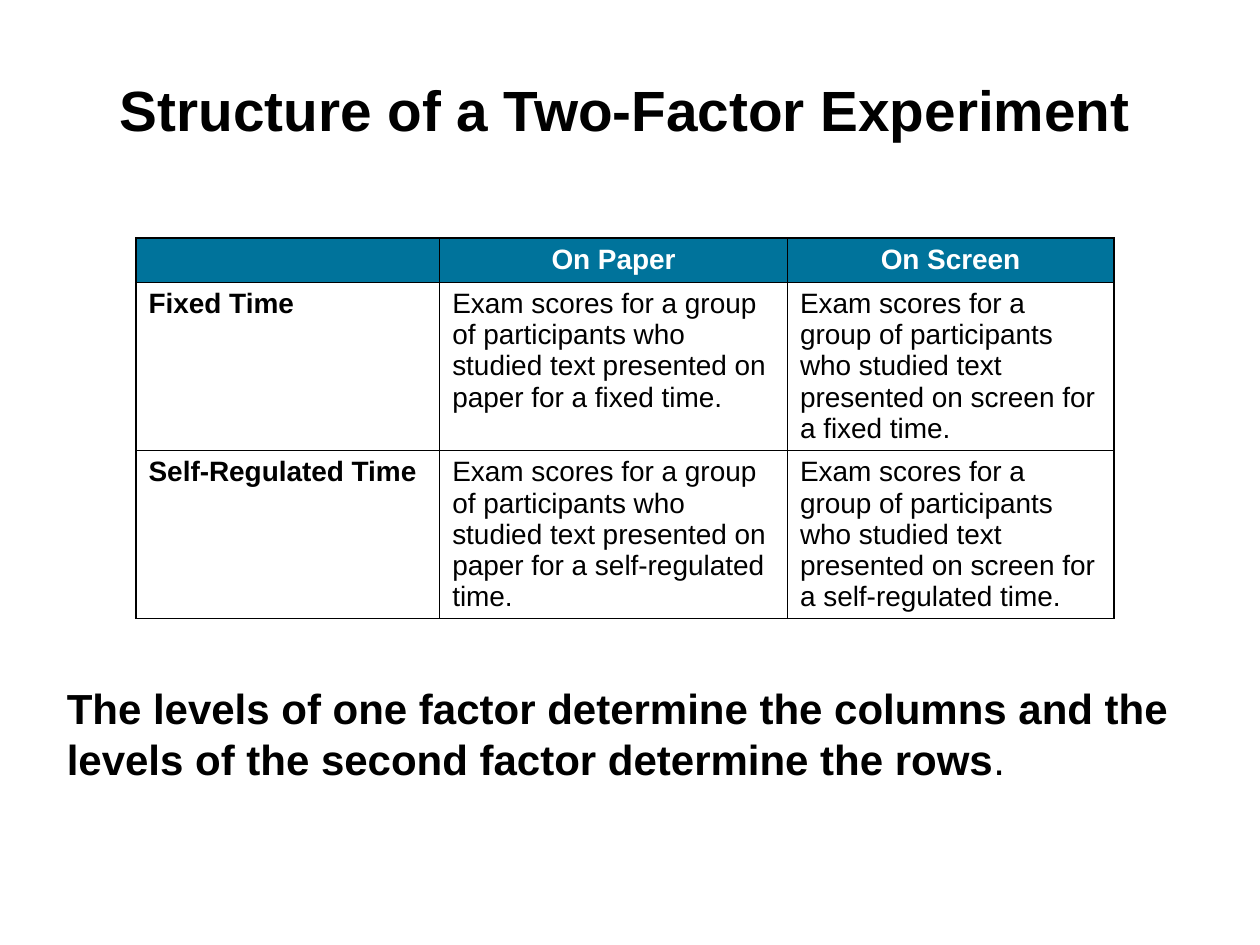
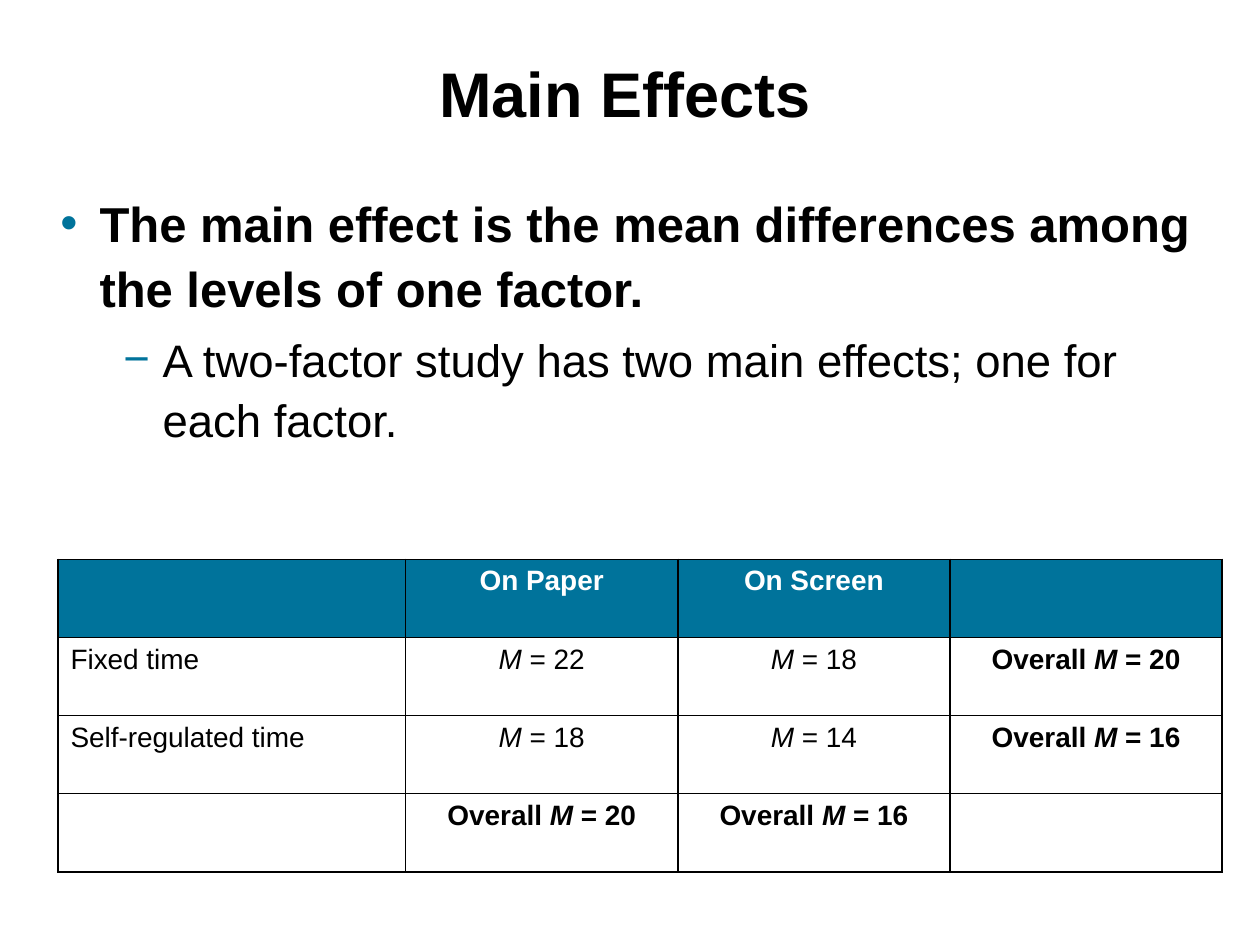
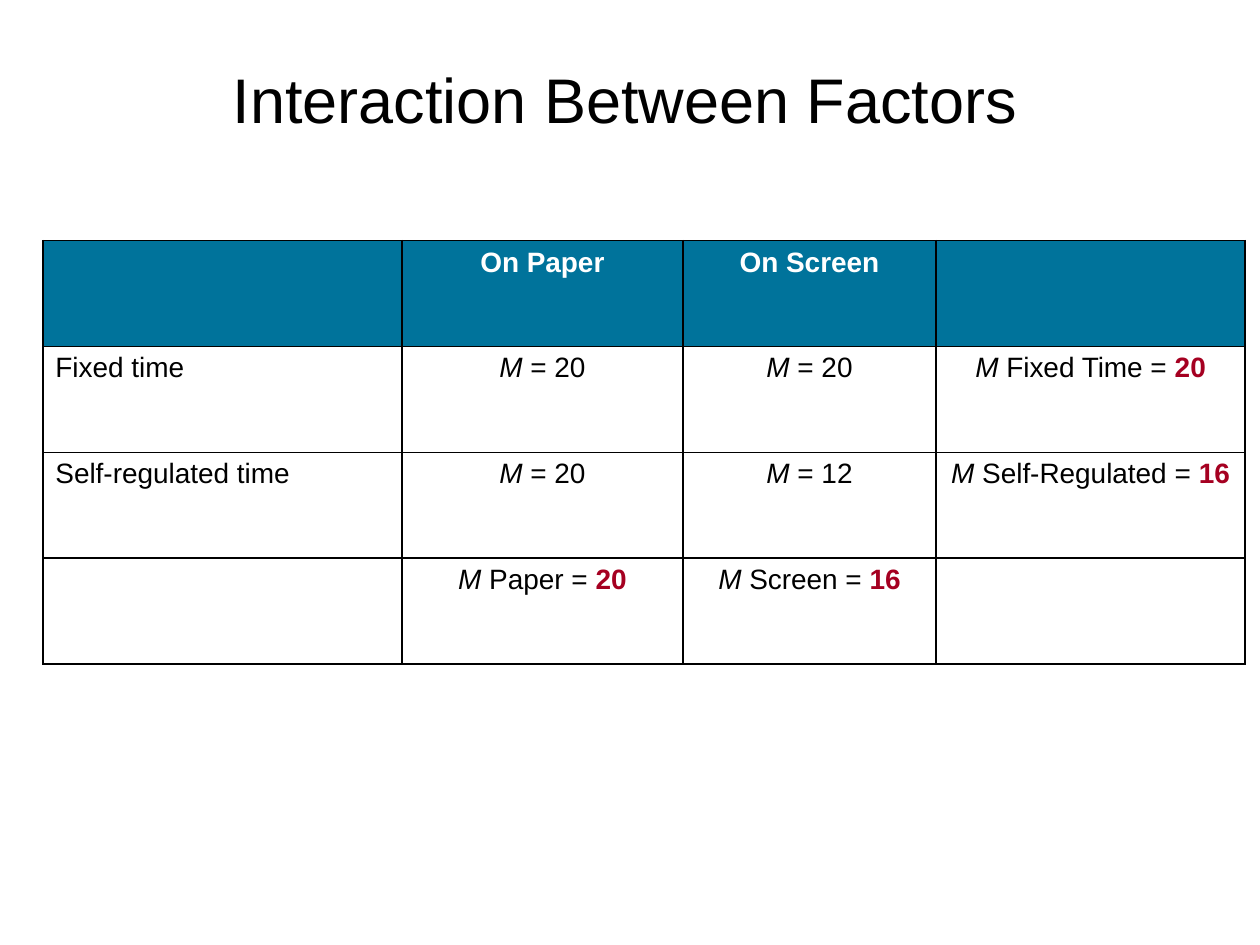
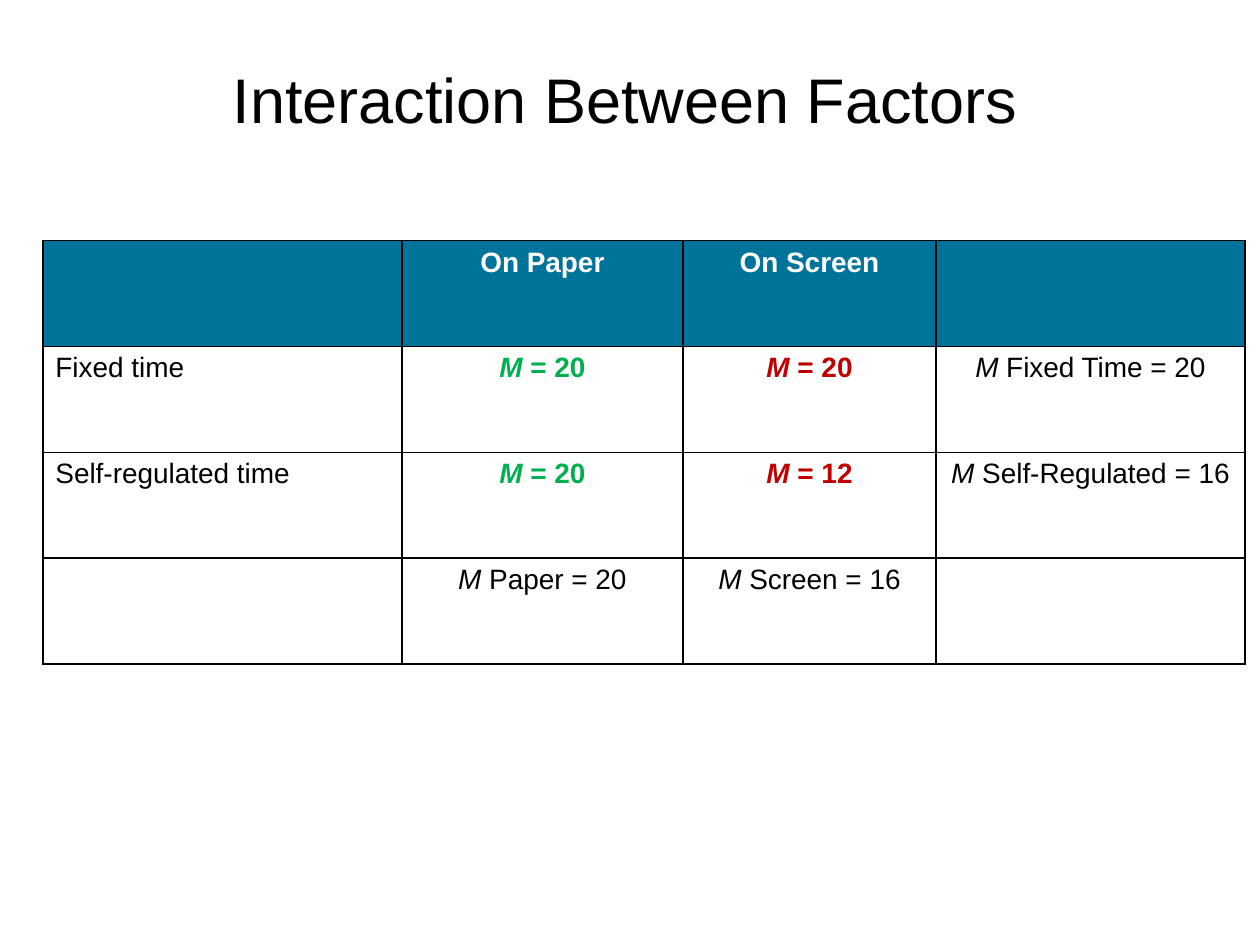
from dataclasses import dataclass
from typing import Optional

from lxml.etree import SubElement
from pptx import Presentation
from pptx.dml.color import RGBColor
from pptx.enum.text import MSO_ANCHOR, MSO_AUTO_SIZE, PP_ALIGN
from pptx.oxml.ns import qn
from pptx.util import Inches, Pt


@dataclass(frozen=True)
class Theme:
    font: str = "Arial"
    ink: str = "000000"
    header_ink: str = "FFFFFF"
    teal: str = "00739B"
    overall_red: str = "A50021"
    paper_green: str = "00B050"
    screen_red: str = "C00000"
    title_size: float = 36
    long_title_size: float = 32.4
    note_size: float = 24
    list_sizes: tuple = (28, 26)
    table_size: float = 16
    border_width: float = 1


THEME = Theme()
TITLE_AND_BODY, TITLE_ONLY = 1, 5
HEADER = ["", "On Paper", "On Screen"]


@dataclass
class Span:
    text: str
    bold: bool = False
    italic: bool = False
    color: Optional[str] = None


def mean(value, label="", before="", bold=False, color=None, value_color=None):
    """Spans reading "[before] M [label] = value", with M in italics."""
    spans = [Span(before, bold)] if before else []
    spans.append(Span("M", bold, True, color))
    equals = f" {label} = " if label else " = "
    if value_color:
        return spans + [Span(equals, bold), Span(str(value), True, color=value_color)]
    return spans + [Span(f"{equals}{value}", bold, color=color)]


def overall(value):
    return mean(value, before="Overall ", bold=True)


class Deck:
    def __init__(self, theme):
        self.theme = theme
        self.prs = Presentation()
        self.prs.slide_width, self.prs.slide_height = Inches(10), Inches(7.5)
        self.slide = None

    def add_slide(self, layout):
        self.slide = self.prs.slides.add_slide(self.prs.slide_layouts[layout])

    def place(self, holder, left, top, width, height):
        holder.left, holder.top = Inches(left), Inches(top)
        holder.width, holder.height = Inches(width), Inches(height)
        frame = holder.text_frame
        frame.word_wrap = True
        frame.auto_size = MSO_AUTO_SIZE.NONE
        return frame

    def set_text(self, paragraph, content, size, color=None, bold=False):
        """Fill a paragraph with a string or a list of spans."""
        spans = [Span(content, bold)] if isinstance(content, str) else content
        font = paragraph.font
        font.name, font.size = self.theme.font, Pt(size)
        font.color.rgb = RGBColor.from_string(color or self.theme.ink)
        same_weight = len({span.bold for span in spans}) == 1
        if same_weight:
            font.bold = spans[0].bold
        for span in spans:
            if not span.text:
                continue
            run = paragraph.add_run()
            run.text = span.text
            if not same_weight:
                run.font.bold = span.bold
            if span.italic:
                run.font.italic = True
            if span.color:
                run.font.color.rgb = RGBColor.from_string(span.color)

    def title(self, text, top, size=None, bold=False):
        frame = self.place(self.slide.shapes.title, 0.57, top, 8.78, 1.1)
        frame.vertical_anchor = MSO_ANCHOR.MIDDLE
        heading = frame.paragraphs[0]
        heading.alignment = PP_ALIGN.CENTER
        self.set_text(heading, text, size or self.theme.title_size, bold=bold)

    def note(self, spans, box):
        statement = self.place(self.slide.placeholders[1], *box).paragraphs[0]
        props = statement._p.get_or_add_pPr()
        props.set("marL", "0")
        props.set("indent", "0")
        SubElement(props, qn("a:buNone"))
        statement.space_before = Pt(0)
        self.set_text(statement, spans, self.theme.note_size)

    def bullets(self, items, box):
        """items: (level, text) pairs; the top level is bold."""
        frame = self.place(self.slide.placeholders[1], *box)
        for index, (level, text) in enumerate(items):
            point = frame.add_paragraph() if index else frame.paragraphs[0]
            point.level = level
            props = point._p.get_or_add_pPr()
            props.set("marL", str(Inches(0.31 + 0.5 * level)))
            props.set("indent", str(-Inches(0.31)))
            bullet_color = SubElement(props, qn("a:buClr"))
            SubElement(bullet_color, qn("a:srgbClr"), val=self.theme.teal)
            SubElement(props, qn("a:buChar"), char="•−"[level])
            point.line_spacing = 1.1
            if index == 0:
                point.space_before = Pt(0)
            self.set_text(point, text, self.theme.list_sizes[level], bold=level == 0)

    def border(self, cell):
        props = cell._tc.get_or_add_tcPr()
        for side in ("lnL", "lnR", "lnT", "lnB"):
            line = SubElement(props, qn(f"a:{side}"), w=str(Pt(self.theme.border_width)))
            fill = SubElement(line, qn("a:solidFill"))
            SubElement(fill, qn("a:srgbClr"), val=self.theme.ink)

    def table(self, left, top, widths, heights, rows, bold_labels=False, centred=True):
        """Grid with a teal header row; the first column holds the row labels."""
        grid = self.slide.shapes.add_table(
            len(rows), len(widths), Inches(left), Inches(top),
            Inches(sum(widths)), Inches(sum(heights))).table
        grid.first_row = grid.horz_banding = False
        for column, width in zip(grid.columns, widths):
            column.width = Inches(width)
        for row, height in zip(grid.rows, heights):
            row.height = Inches(height)
        for r, row in enumerate(rows):
            for c, content in enumerate(row):
                self.cell(grid.cell(r, c), content, header=r == 0,
                          bold=bold_labels and c == 0,
                          centred=r == 0 or (centred and c > 0))

    def cell(self, cell, content, header, bold, centred):
        theme = self.theme
        self.border(cell)
        if header:
            cell.fill.solid()
            cell.fill.fore_color.rgb = RGBColor.from_string(theme.teal)
        else:
            cell.fill.background()
        paragraph = cell.text_frame.paragraphs[0]
        paragraph.alignment = PP_ALIGN.CENTER if centred else PP_ALIGN.LEFT
        self.set_text(paragraph, content, theme.table_size,
                      theme.header_ink if header else theme.ink, header or bold)
        if not content:
            # Keeps an empty cell from raising its row.
            SubElement(paragraph._p, qn("a:endParaRPr"), sz=str(theme.table_size * 100))


def structure_slide(deck):
    deck.add_slide(TITLE_AND_BODY)
    deck.title("Structure of a Two-Factor Experiment", 0.31,
               deck.theme.long_title_size, bold=True)
    rows = [HEADER]
    for label, time in (("Fixed Time", "fixed"), ("Self-Regulated Time", "self-regulated")):
        rows.append([label] + [
            f"Exam scores for a group of participants who studied text "
            f"presented on {medium} for a {time} time."
            for medium in ("paper", "screen")])
    deck.table(1.08, 1.89, [2.41, 2.76, 2.59], [0.35, 1.33, 1.33], rows,
               bold_labels=True, centred=False)
    deck.note([Span("The levels of one factor determine the columns and the levels "
                    "of the second factor determine the rows", True), Span(".")],
              (0.43, 5.37, 9.05, 1.33))


def main_effects_slide(deck):
    deck.add_slide(TITLE_AND_BODY)
    deck.title("Main Effects", 0.18, bold=True)
    deck.bullets([
        (0, "The main effect is the mean differences among the levels of one factor."),
        (1, "A two-factor study has two main effects; one for each factor."),
    ], (0.38, 1.44, 9.19, 2.83))
    deck.table(0.46, 4.44, [2.76] + [2.16] * 3, [0.62] * 4, [
        HEADER + [""],
        ["Fixed time", mean(22), mean(18), overall(20)],
        ["Self-regulated time", mean(18), mean(14), overall(16)],
        ["", overall(20), overall(16), ""],
    ])


def interaction_slide(deck, overall_color=None, paper=None, screen=None):
    """paper and screen: highlight colours of the cell means in those columns."""
    def cell_mean(value, color):
        return mean(value, bold=color is not None, color=color)

    def overall_mean(label, value):
        return mean(value, label, value_color=overall_color)

    deck.add_slide(TITLE_ONLY)
    deck.title("Interaction Between Factors", 0.23)
    deck.table(0.34, 1.91, [2.85, 2.23, 2.01, 2.45], [0.84] * 4, [
        HEADER + [""],
        ["Fixed time", cell_mean(20, paper), cell_mean(20, screen),
         overall_mean("Fixed Time", 20)],
        ["Self-regulated time", cell_mean(20, paper), cell_mean(12, screen),
         overall_mean("Self-Regulated", 16)],
        ["", overall_mean("Paper", 20), overall_mean("Screen", 16), ""],
    ])


def main():
    deck = Deck(THEME)
    structure_slide(deck)
    main_effects_slide(deck)
    interaction_slide(deck, overall_color=THEME.overall_red)
    interaction_slide(deck, paper=THEME.paper_green, screen=THEME.screen_red)
    deck.prs.save("out.pptx")


if __name__ == "__main__":
    main()
